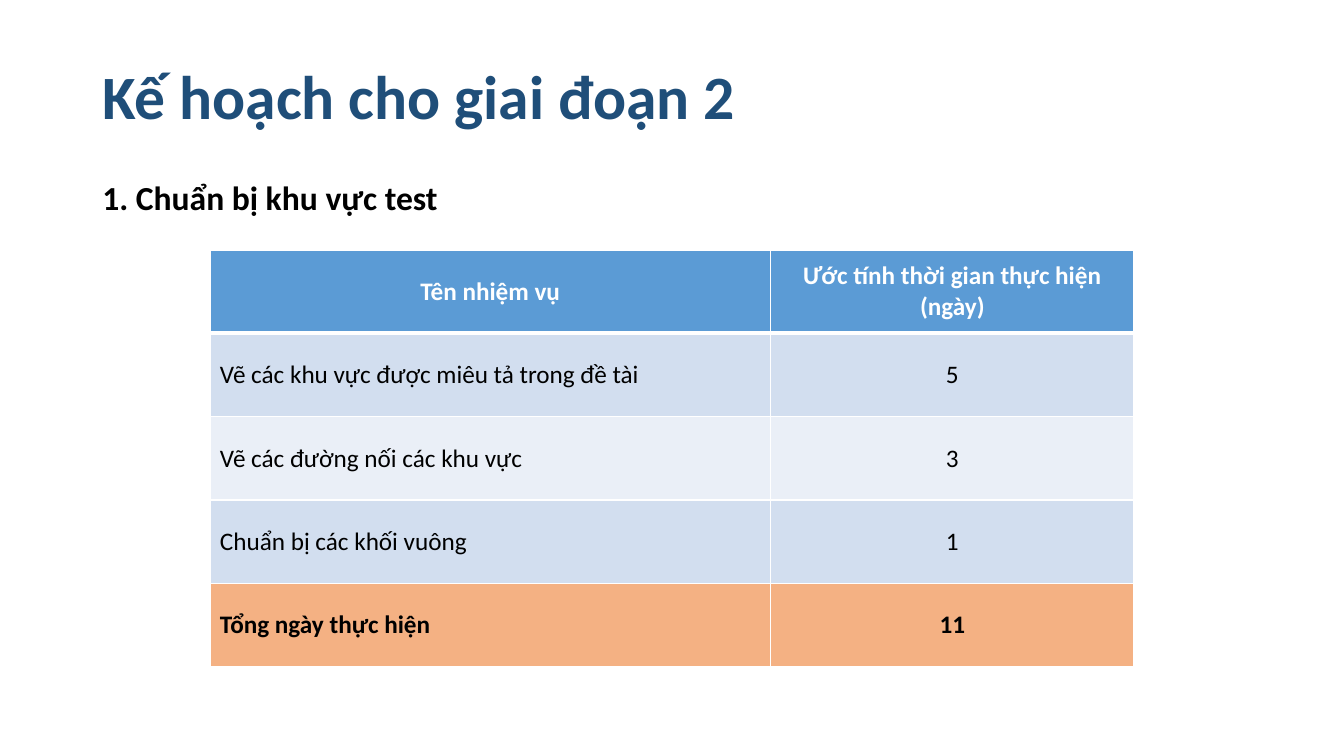
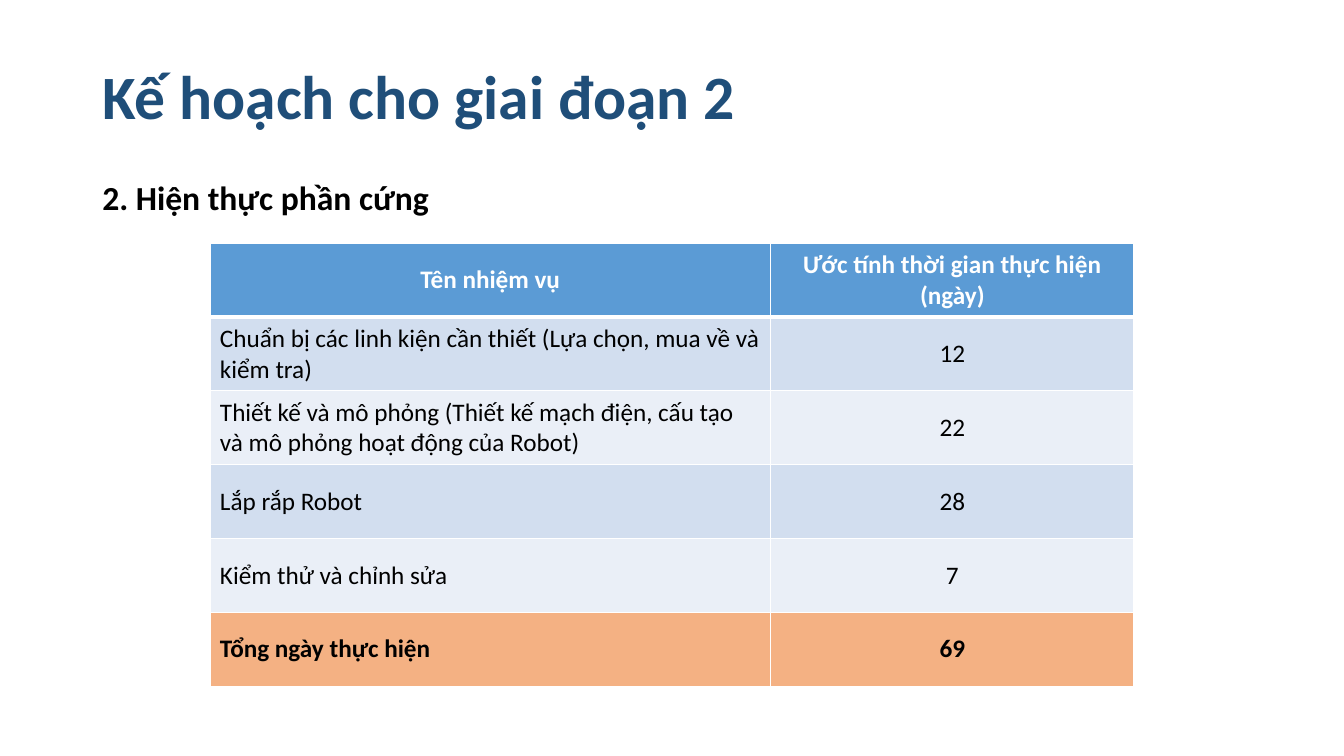
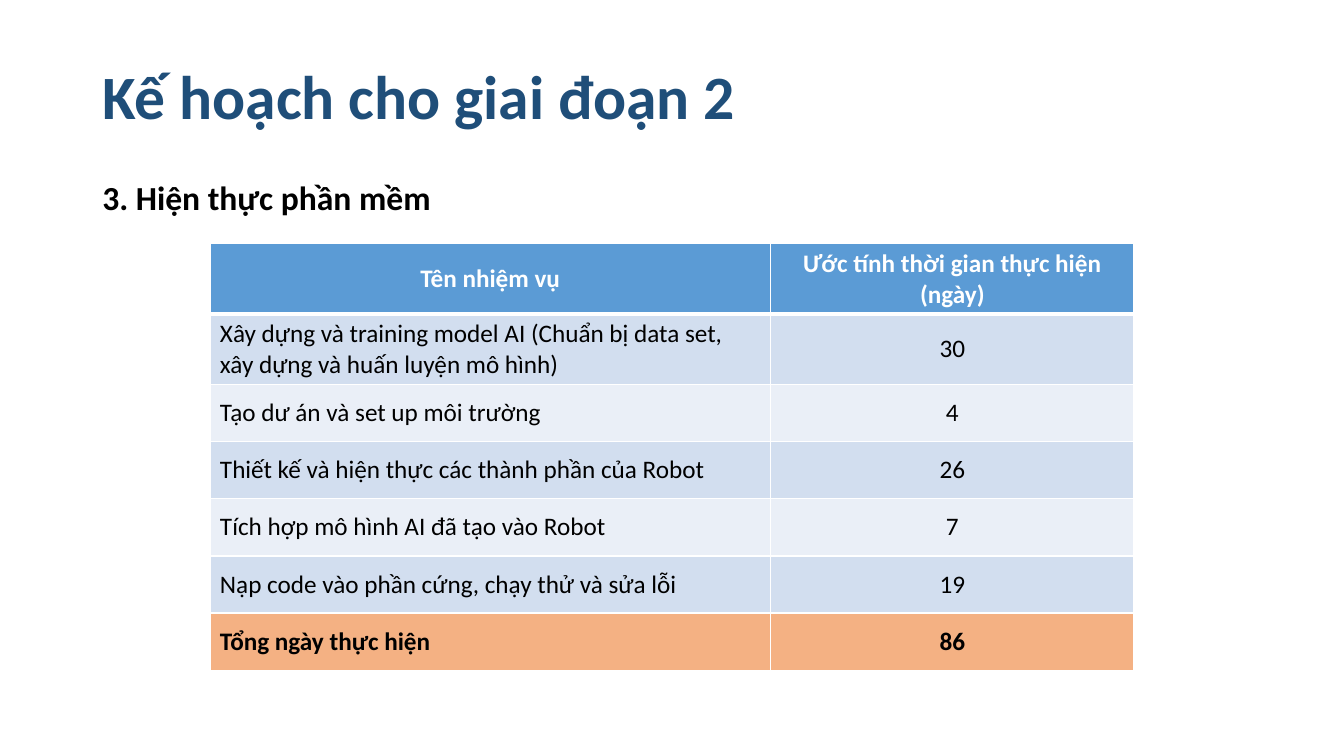
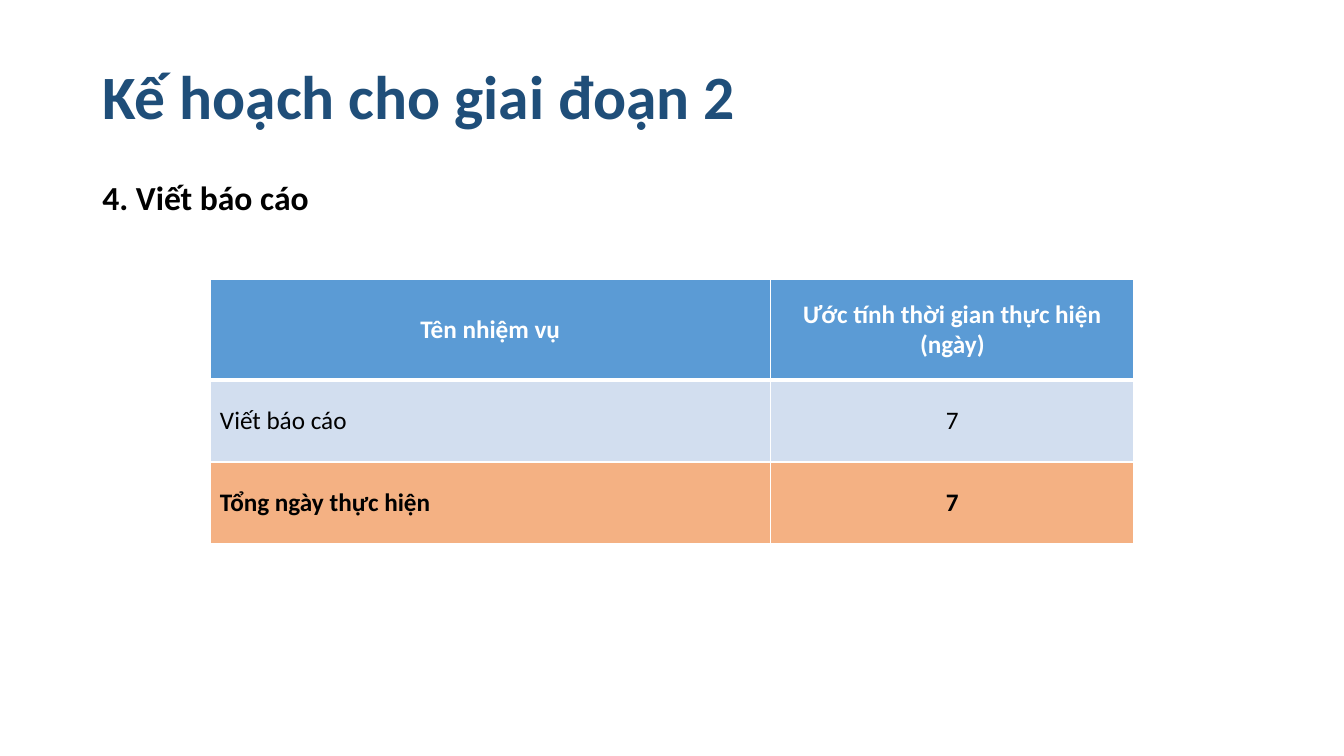
from pptx import Presentation
from pptx import util as u
from pptx.dml.color import RGBColor
from pptx.enum import text
from pptx.oxml import parse_xml
from pptx.oxml.ns import nsdecls

# Content
TITLE = "Kế hoạch cho giai đoạn 2"
HEADER = ("Tên nhiệm vụ", "Ước tính thời gian thực hiện (ngày)")
TOTAL = "Tổng ngày thực hiện"

# Lengths are in centimetres
PLANS = [
    {
        "heading": "1. Chuẩn bị khu vực test", "heading_w": 9.04,
        "top": 6.3, "header_h": 2.1, "row_h": 2.1,
        "tasks": [
            ("Vẽ các khu vực được miêu tả trong đề tài", 5),
            ("Vẽ các đường nối các khu vực", 3),
            ("Chuẩn bị các khối vuông", 1),
        ],
        "total": 11,
    },
    {
        "heading": "2. Hiện thực phần cứng", "heading_w": 8.81,
        "top": 6.13, "header_h": 1.86, "row_h": 1.86,
        "tasks": [
            ("Chuẩn bị các linh kiện cần thiết (Lựa chọn, mua về và kiểm tra)", 12),
            ("Thiết kế và mô phỏng (Thiết kế mạch điện, cấu tạo và mô phỏng "
             "hoạt động của Robot)", 22),
            ("Lắp rắp Robot", 28),
            ("Kiểm thử và chỉnh sửa", 7),
        ],
        "total": 69,
    },
    {
        "heading": "3. Hiện thực phần mềm", "heading_w": 8.86,
        "top": 6.13, "header_h": 1.44, "row_h": 1.44,
        "tasks": [
            ("Xây dựng và training model AI (Chuẩn bị data set, xây dựng và "
             "huấn luyện mô hình)", 30),
            ("Tạo dư án và set up môi trường", 4),
            ("Thiết kế và hiện thực các thành phần của Robot", 26),
            ("Tích hợp mô hình AI đã tạo vào Robot", 7),
            ("Nạp code vào phần cứng, chạy thử và sửa lỗi", 19),
        ],
        "total": 86,
    },
    {
        "heading": "4. Viết báo cáo", "heading_w": 5.77,
        "top": 7.04, "header_h": 2.54, "row_h": 2.06,
        "tasks": [("Viết báo cáo", 7)],
        "total": 7,
    },
]

# Shared style
FONT = "Calibri"
COLORS = {
    "title": "1F4E79", "text": "000000", "white": "FFFFFF",
    "header": "5B9BD5", "band_dark": "D2DEEF", "band_light": "EAEFF7",
    "total": "F4B183",
}
MARGIN = 2.33
TABLE_LEFT = 5.29
COL_WIDTHS = (14.13, 9.16)


def add_run(p, words, size, color, bold):
    r = p.add_run()
    r.text = words
    r.font.name = FONT
    r.font.size = u.Pt(size)
    r.font.bold = bold
    r.font.color.rgb = RGBColor.from_string(COLORS[color])


def add_text(slide, box, words, size, color, wrap):
    sp = slide.shapes.add_textbox(*(u.Cm(v) for v in box))
    tf = sp.text_frame
    tf.word_wrap = wrap
    add_run(tf.paragraphs[0], words, size, color, True)
    return tf


def set_borders(cell, top, bottom):
    """White cell borders; widths in points."""
    tcPr = cell._tc.get_or_add_tcPr()
    for side, width in (("L", 1), ("R", 1), ("T", top), ("B", bottom)):
        tcPr.append(parse_xml(
            f'<a:ln{side} {nsdecls("a")} w="{u.Pt(width)}"><a:solidFill>'
            f'<a:srgbClr val="{COLORS["white"]}"/></a:solidFill></a:ln{side}>'))


def add_plan_table(slide, plan):
    rows = [HEADER, *plan["tasks"], (TOTAL, plan["total"])]
    last = len(rows) - 1
    heights = [plan["header_h"]] + [plan["row_h"]] * last
    table = slide.shapes.add_table(
        len(rows), len(HEADER), u.Cm(TABLE_LEFT), u.Cm(plan["top"]),
        u.Cm(sum(COL_WIDTHS)), u.Cm(sum(heights))).table
    for col, width in zip(table.columns, COL_WIDTHS):
        col.width = u.Cm(width)

    for i, (values, height) in enumerate(zip(rows, heights)):
        table.rows[i].height = u.Cm(height)
        if i == 0:
            fill = "header"
        elif i == last:
            fill = "total"
        else:
            fill = "band_dark" if i % 2 else "band_light"
        for j, value in enumerate(values):
            cell = table.cell(i, j)
            # The rule under the header is thicker
            set_borders(cell, 3 if i == 1 else 1, 3 if i == 0 else 1)
            cell.fill.solid()
            cell.fill.fore_color.rgb = RGBColor.from_string(COLORS[fill])
            cell.vertical_anchor = text.MSO_ANCHOR.MIDDLE
            p = cell.text_frame.paragraphs[0]
            centred = i == 0 or j == 1
            p.alignment = text.PP_ALIGN.CENTER if centred else text.PP_ALIGN.LEFT
            add_run(p, str(value), 18, "white" if i == 0 else "text", i in (0, last))


def add_plan_slide(prs, plan):
    slide = prs.slides.add_slide(prs.slide_layouts[6])
    # Title
    tf = add_text(slide, (MARGIN, 0.66, 29.21, 3.68), TITLE, 44, "title", True)
    tf.vertical_anchor = text.MSO_ANCHOR.MIDDLE
    tf.paragraphs[0].line_spacing = 0.9
    # Task table
    add_plan_table(slide, plan)
    # Section heading
    tf = add_text(slide, (MARGIN, 4.34, plan["heading_w"], 1.28),
                  plan["heading"], 24, "text", False)
    tf.auto_size = text.MSO_AUTO_SIZE.SHAPE_TO_FIT_TEXT


def main():
    prs = Presentation()
    prs.slide_width, prs.slide_height = u.Cm(33.87), u.Cm(19.05)
    for plan in PLANS:
        add_plan_slide(prs, plan)
    prs.save("out.pptx")


if __name__ == "__main__":
    main()
